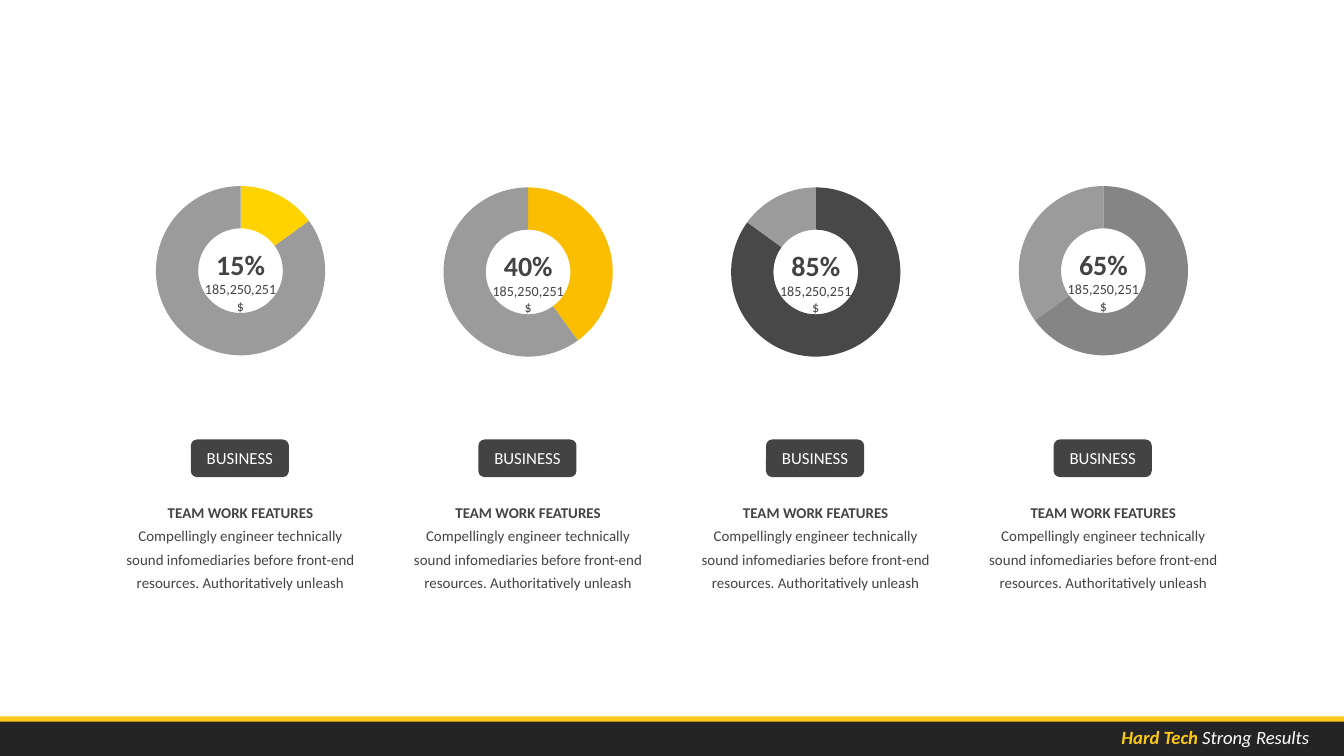
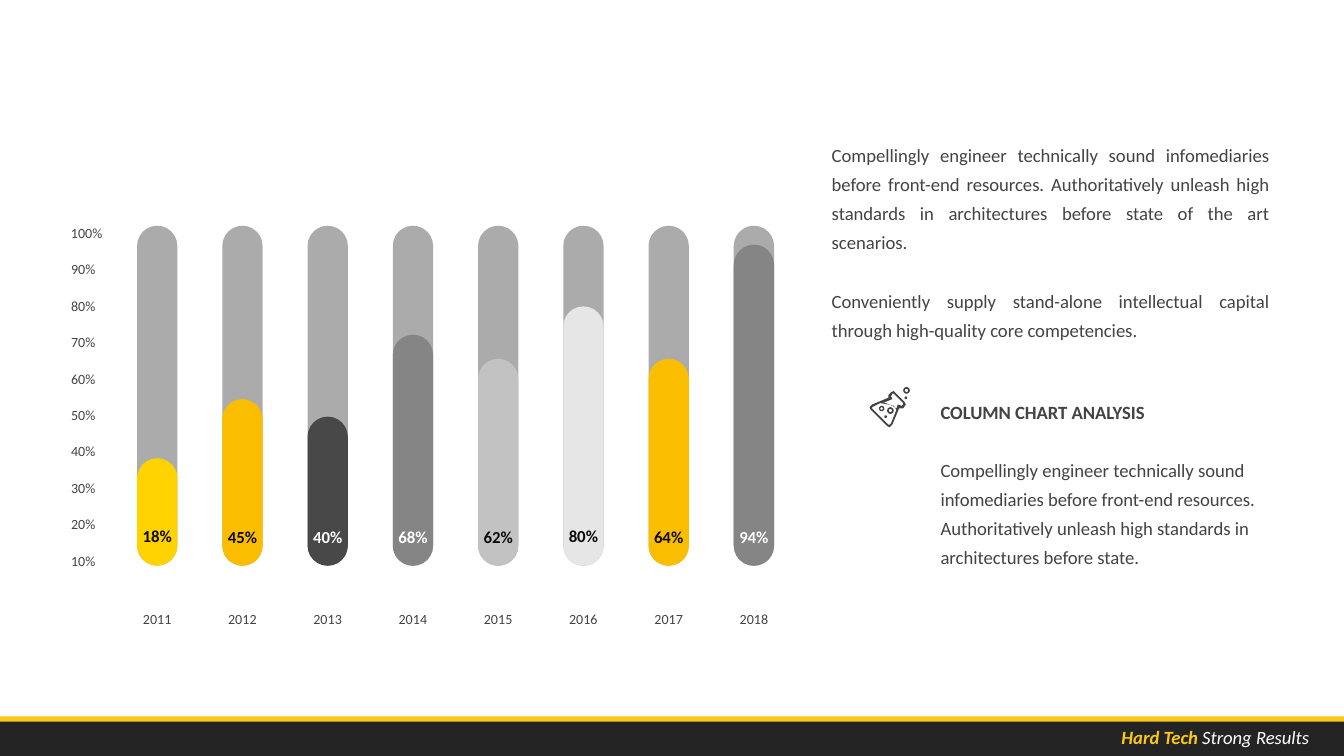
from lxml import etree
from pptx import Presentation
from pptx import util as u
from pptx.chart.data import CategoryChartData
from pptx.dml.color import RGBColor
from pptx.enum import chart as ch, shapes, text
from pptx.oxml import ns

WIDE = 10
HIGH = WIDE * 9 / 16
FONT = "Calibri"
INK = {
    "gold": "FAC918", "night": "242424", "white": "FFFFFF", "text": "434343",
    "black": "0C0C0C", "sun": "FFD300", "amber": "FBBD00", "coal": "484848",
    "steel": "858585", "ash": "9B9B9B", "silver": "C2C2C2", "mist": "E6E6E6",
    "track": "595959",
}
SLOGAN = ("Hard Tech ", "Strong Results")

RINGS = [(15, "sun", 1.25), (40, "amber", 1.26),
         (85, "coal", 1.26), (65, "steel", 1.25)]
SUM = "185,250,251$"
BADGE = "BUSINESS"
TEAM = ("TEAM WORK FEATURES",
        "Compellingly engineer technically sound infomediaries before "
        "front-end resources. Authoritatively unleash")

BARS = [
    (2011, 18, 0.8, "sun", "black"), (2012, 45, 1.24, "amber", "black"),
    (2013, 40, 1.11, "coal", "white"), (2014, 68, 1.72, "steel", "white"),
    (2015, 62, 1.54, "silver", "black"), (2016, 80, 1.93, "mist", "black"),
    (2017, 64, 1.54, "amber", "black"), (2018, 94, 2.39, "steel", "white"),
]
INTRO = ("Compellingly engineer technically sound infomediaries before "
         "front-end resources. Authoritatively unleash high standards in "
         "architectures before state of the art scenarios.",
         "Conveniently supply stand-alone intellectual capital through "
         "high-quality core competencies.")
STUDY = ("COLUMN CHART ANALYSIS",
         "Compellingly engineer technically sound infomediaries before "
         "front-end resources.",
         "Authoritatively unleash high standards in architectures before "
         "state.")
FLASK = [
    [(666, 292), (665, 291), (663, 291.5), (661, 294), (661, 296), (649, 301),
     (647, 303), (648, 305), (660, 317), (662, 318), (664, 316), (669, 304),
     (670, 304), (672, 304), (674, 301), (673, 299)],
    [(663, 315), (662, 316), (661, 316), (649, 304), (649, 303), (655, 300),
     (661, 301), (665, 302.5), (667, 305)],
    [(672, 301), (671, 302), (668, 301), (667, 304), (664, 301.5), (659, 300),
     (657, 300), (664, 297), (663, 295), (664, 293), (665, 293), (672, 300)],
]
BUBBLES = [(6.6, 3.03, 0.05), (6.72, 2.88, 0.05), (6.54, 3.02, 0.04)]
DOTS = [(6.58, 3.09), (6.73, 2.95)]

KIND = shapes.MSO_SHAPE
ALIGN = text.PP_ALIGN


def tint(name):
    return RGBColor.from_string(INK[name])


def box(at):
    return [u.Inches(v) for v in at]


def paint(shape, fill):
    shape.shadow.inherit = False
    shape.line.fill.background()
    if fill:
        shape.fill.solid()
        shape.fill.fore_color.rgb = tint(fill)
    else:
        shape.fill.background()
    return shape


def form(slide, kind, at, fill=None, adj=None):
    shape = paint(slide.shapes.add_shape(kind, *box(at)), fill)
    if adj is not None:
        shape.adjustments[0] = adj
    return shape


def style(run, size, ink, bold=False, slant=False):
    font = run.font
    font.name, font.size = FONT, u.Pt(size)
    font.bold, font.italic = bold, slant
    font.color.rgb = tint(ink)


def write(shape, lines, looks, align=ALIGN.CENTER, wrap=False, lead=None,
          grow=True):
    frame = shape.text_frame
    frame.text = "\n".join(lines)
    frame.word_wrap = wrap
    if grow:
        frame.auto_size = text.MSO_AUTO_SIZE.SHAPE_TO_FIT_TEXT
    for par, look in zip(frame.paragraphs, looks):
        par.alignment = align
        par.line_spacing = lead
        style(par.runs[0], *look)
    return frame


def label(slide, at, *args, **opts):
    return write(slide.shapes.add_textbox(*box(at)), *args, **opts)


def page(deck):
    slide = deck.slides.add_slide(deck.slide_layouts[6])
    for top, ink in ((5.33, "gold"), (5.37, "night")):
        form(slide, KIND.RECTANGLE, (0, top, WIDE, 0.26), ink)
    frame = label(slide, (8.01, 5.35, 1.83, 0.27), SLOGAN[:1],
                  [(10, "gold", True, True)], ALIGN.RIGHT, True)
    run = frame.paragraphs[0].add_run()
    run.text = SLOGAN[1]
    style(run, 10, "white", False, True)
    return slide


def ring(slide, mid, top, part, ink):
    wide, high, size = 1.67, 1.53, 1.26
    data = CategoryChartData()
    data.categories = ["1", "2"]
    data.add_series("Series 1", (part, 100 - part))
    chart = slide.shapes.add_chart(
        ch.XL_CHART_TYPE.DOUGHNUT,
        *box((mid - wide / 2, top, wide, high)), data).chart
    chart.has_legend = chart.has_title = False
    chart.font.name, chart.font.size = FONT, u.Pt(10)
    chart.font.color.rgb = tint("black")
    for i, name in enumerate((ink, "ash")):
        look = chart.plots[0].series[0].points[i].format
        look.fill.solid()
        look.fill.fore_color.rgb = tint(name)
        look.line.fill.background()
    area = chart._chartSpace.find(".//" + ns.qn("c:plotArea"))
    area.find(".//" + ns.qn("c:holeSize")).set("val", "80")
    for old in area.findall(ns.qn("c:layout")):
        area.remove(old)
    frame = etree.Element(ns.qn("c:layout"))
    area.insert(0, frame)
    plan = etree.SubElement(frame, ns.qn("c:manualLayout"))
    w, h = size / wide, size / high
    for tag, val in (("layoutTarget", "inner"), ("xMode", "edge"),
                     ("yMode", "edge"), ("x", (1 - w) / 2),
                     ("y", (1 - h) / 2), ("w", w), ("h", h)):
        etree.SubElement(plan, ns.qn("c:" + tag)).set("val", str(val))


def shares(deck):
    slide = page(deck)
    for i, (part, ink, top) in enumerate(RINGS):
        mid = 1.79 + 2.14 * i
        ring(slide, mid, top, part, ink)
        label(slide, (mid - 0.39, top + 0.54, 0.78, 0.48), (f"{part}%", SUM),
              [(15, "text", True), (7.5, "text")], wrap=True)
        badge = form(slide, KIND.ROUNDED_RECTANGLE,
                     (mid - 0.37, 3.27, 0.73, 0.28), "text")
        write(badge, [BADGE], [(9, "white")])
        label(slide, (mid - 0.99, 3.66, 1.98, 0.79), TEAM,
              [(8, "text", True), (8, "text")], wrap=True, lead=1.3)


def columns(slide):
    base, full, wide = 4.21, 2.53, 0.3
    for i, (year, part, high, ink, word) in enumerate(BARS):
        left = 1.02 + 4.44 / 7 * i
        track = form(slide, KIND.ROUNDED_RECTANGLE,
                     (left, base - full, wide, full), "track", 0.5)
        hue = track._element.spPr.find(".//" + ns.qn("a:srgbClr"))
        etree.SubElement(hue, ns.qn("a:alpha")).set("val", "50000")
        bar = form(slide, KIND.ROUNDED_RECTANGLE,
                   (left, base - high, wide, high), ink, 0.5)
        frame = write(bar, [f"{part}%"], [(9, word, True)], grow=False)
        frame.vertical_anchor = text.MSO_ANCHOR.BOTTOM
        frame.margin_left = frame.margin_right = u.Inches(0.1)
        frame.margin_top = frame.margin_bottom = u.Inches(0.1)
        tag = form(slide, KIND.ROUNDED_RECTANGLE,
                   (left - 0.07, 4.48, 0.44, 0.25))
        write(tag, [str(year)], [(7.5, "text")])
    for i in range(10):
        label(slide, (0.43, 4.06 - 2.44 / 9 * i, 0.44 if i == 9 else 0.38,
                      0.23),
              [f"{10 * (i + 1)}%"], [(7.5, "text")], ALIGN.LEFT)


def icon(slide):
    first, *rest = FLASK
    pen = slide.shapes.build_freeform(*first[0], scale=u.Inches(0.01))
    pen.add_line_segments(first[1:])
    for loop in rest:
        pen.move_to(*loop[0])
        pen.add_line_segments(loop[1:])
    paint(pen.convert_to_shape(), "text")
    for left, top, size in BUBBLES:
        form(slide, KIND.DONUT, (left, top, size, size), "text", 0.25)
    for left, top in DOTS:
        form(slide, KIND.OVAL, (left, top, 0.02, 0.02), "text")


def trend(deck):
    slide = page(deck)
    columns(slide)
    plain = (10, "text")
    intro = label(slide, (6.09, 0.97, 3.45, 1.63), INTRO, [plain] * 2,
                  ALIGN.JUSTIFY, True, 1.3)
    study = label(slide, (6.9, 2.88, 2.64, 1.41), STUDY,
                  [(10, "text", True), plain, plain], ALIGN.LEFT, True, 1.3)
    for frame in (intro, study):
        frame.paragraphs[1].space_before = u.Pt(15.6)
    icon(slide)


def main():
    """Build the two chart slides."""
    deck = Presentation()
    deck.slide_width, deck.slide_height = u.Inches(WIDE), u.Inches(HIGH)
    shares(deck)
    trend(deck)
    deck.save("out.pptx")


if __name__ == "__main__":
    main()
